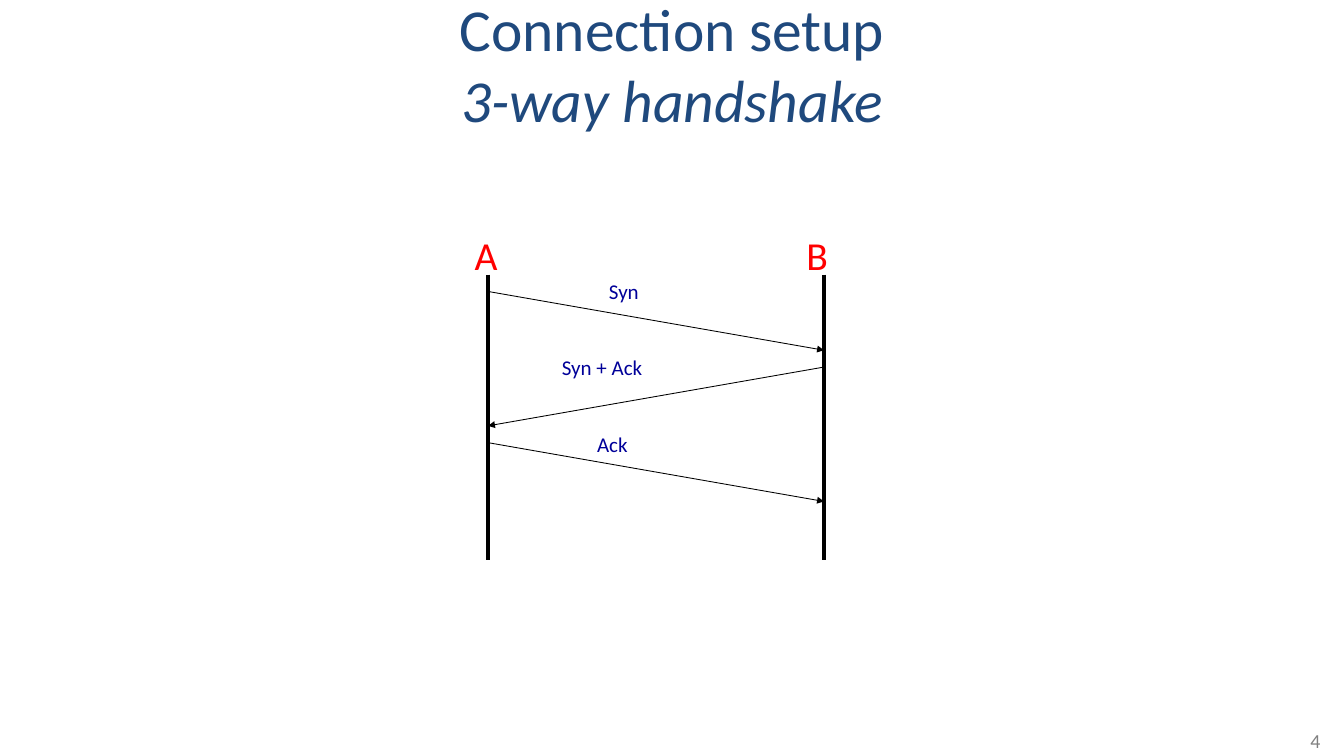
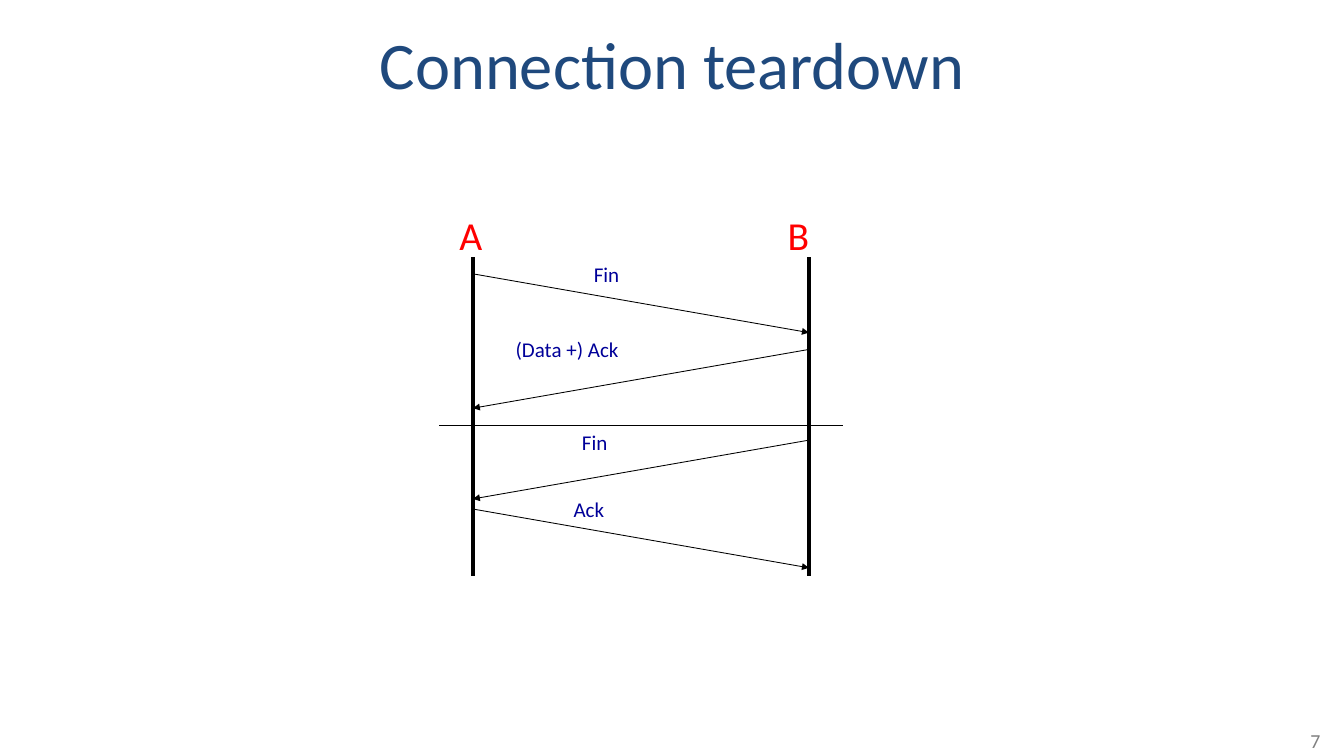
from dataclasses import dataclass

from lxml.etree import SubElement
from pptx import Presentation
from pptx.dml.color import RGBColor
from pptx.enum.text import MSO_ANCHOR, MSO_AUTO_SIZE, PP_ALIGN
from pptx.oxml.ns import qn
from pptx.util import Inches, Pt


@dataclass(frozen=True)
class Theme:
    font: str = "Calibri"
    title: str = "1F497D"
    host: str = "FF0000"
    label: str = "000099"
    line: str = "000000"
    number: str = "808080"
    host_size: int = 34
    label_size: int = 18
    number_size: int = 17
    thick: float = 3
    thin: float = 0.75


THEME = Theme()
SPAN = 4     # distance between the two hosts
DROP = 0.7   # fall of each message arrow
OVER = 0.4   # how far the divider passes each host
WIDE, SLIM = (0.14, 0.07), (0.1, 0.05)

# hosts: name, left, width
# messages: text, sender, arrow start, label left, top and width
SLIDES = [
    {
        "title": "Connection setup\v3-way handshake", "size": 51, "number": "4",
        "left": 5.81, "top": 3.27, "height": 3.4,
        "hosts": [("A", 5.51, 0.57), ("B", 9.46, 0.55)],
        "host_top": 2.68, "host_height": 0.71, "inset": WIDE,
        "messages": [
            ("Syn", "A", 3.47, 7.15, 3.27, 0.58),
            ("Syn + Ack", "B", 4.37, 6.59, 4.17, 1.18),
            ("Ack", "A", 5.27, 7.01, 5.09, 0.58),
        ],
        "divider": None,
    },
    {
        "title": "Connection teardown", "size": 57, "number": "7",
        "left": 5.63, "top": 3.06, "height": 3.8,
        "hosts": [("A", 5.37, 0.48), ("B", 9.28, 0.46)],
        "host_top": 2.46, "host_height": 0.67, "inset": SLIM,
        "messages": [
            ("Fin", "A", 3.26, 6.97, 3.06, 0.52),
            ("(Data +) Ack", "B", 4.16, 6.04, 3.96, 1.45),
            ("Fin", "B", 5.24, 6.83, 5.06, 0.52),
            ("Ack", "A", 6.06, 6.73, 5.86, 0.58),
        ],
        "divider": 5.06,
    },
]


def style(frame, size, color, inset, align):
    frame.margin_left = frame.margin_right = Inches(inset[0])
    frame.margin_top = frame.margin_bottom = Inches(inset[1])
    for para in frame.paragraphs:
        para.alignment = align
        for run in para.runs:
            run.font.name = THEME.font
            run.font.size = Pt(size)
            run.font.color.rgb = RGBColor.from_string(color)


def add_text(slide, text, box, size, color, inset=SLIM, align=PP_ALIGN.LEFT, wrap=False):
    frame = slide.shapes.add_textbox(*map(Inches, box)).text_frame
    frame.text = text
    frame.word_wrap = wrap
    frame.auto_size = MSO_AUTO_SIZE.NONE if wrap else MSO_AUTO_SIZE.SHAPE_TO_FIT_TEXT
    style(frame, size, color, inset, align)


def add_line(slide, start, end, width, arrow=False):
    line = slide.shapes.add_connector(1, *map(Inches, (*start, *end)))
    line.line.color.rgb = RGBColor.from_string(THEME.line)
    line.line.width = Pt(width)
    props = line.element.spPr
    if arrow:
        SubElement(props.find(qn("a:ln")), qn("a:tailEnd"), type="triangle")
    SubElement(props, qn("a:effectLst"))


def add_title(slide, text, size):
    title = slide.shapes.title
    title.left, title.top, title.width, title.height = map(Inches, (1.2, 0, 13.6, 1.5))
    frame = title.text_frame
    para = frame.paragraphs[0]
    para.text = text
    frame.auto_size = MSO_AUTO_SIZE.NONE
    frame.vertical_anchor = MSO_ANCHOR.MIDDLE
    style(frame, size, THEME.title, WIDE, PP_ALIGN.CENTER)
    for run in para.runs[1:]:
        run.font.italic = True


def build(deck, data):
    slide = deck.slides.add_slide(deck.slide_layouts[5])
    add_text(slide, data["number"], (12.53, 8.6, 3.33, 0.6), THEME.number_size,
             THEME.number, WIDE, PP_ALIGN.RIGHT, True)
    add_title(slide, data["title"], data["size"])

    left, top = data["left"], data["top"]
    right = left + SPAN
    for x in (left, right):
        add_line(slide, (x, top), (x, top + data["height"]), THEME.thick)
    for name, x, width in data["hosts"]:
        add_text(slide, name, (x, data["host_top"], width, data["host_height"]),
                 THEME.host_size, THEME.host, data["inset"])

    for text, sender, y, x, label_top, width in data["messages"]:
        start, end = (left, right) if sender == "A" else (right, left)
        add_line(slide, (start, y), (end, y + DROP), THEME.thin, arrow=True)
        add_text(slide, text, (x, label_top, width, 0.4), THEME.label_size, THEME.label)

    y = data["divider"]
    if y is not None:
        add_line(slide, (left - OVER, y), (right + OVER, y), THEME.thin)


def main():
    deck = Presentation()
    deck.slide_width, deck.slide_height = Inches(16), Inches(9)
    for data in SLIDES:
        build(deck, data)
    deck.save("out.pptx")


if __name__ == "__main__":
    main()
